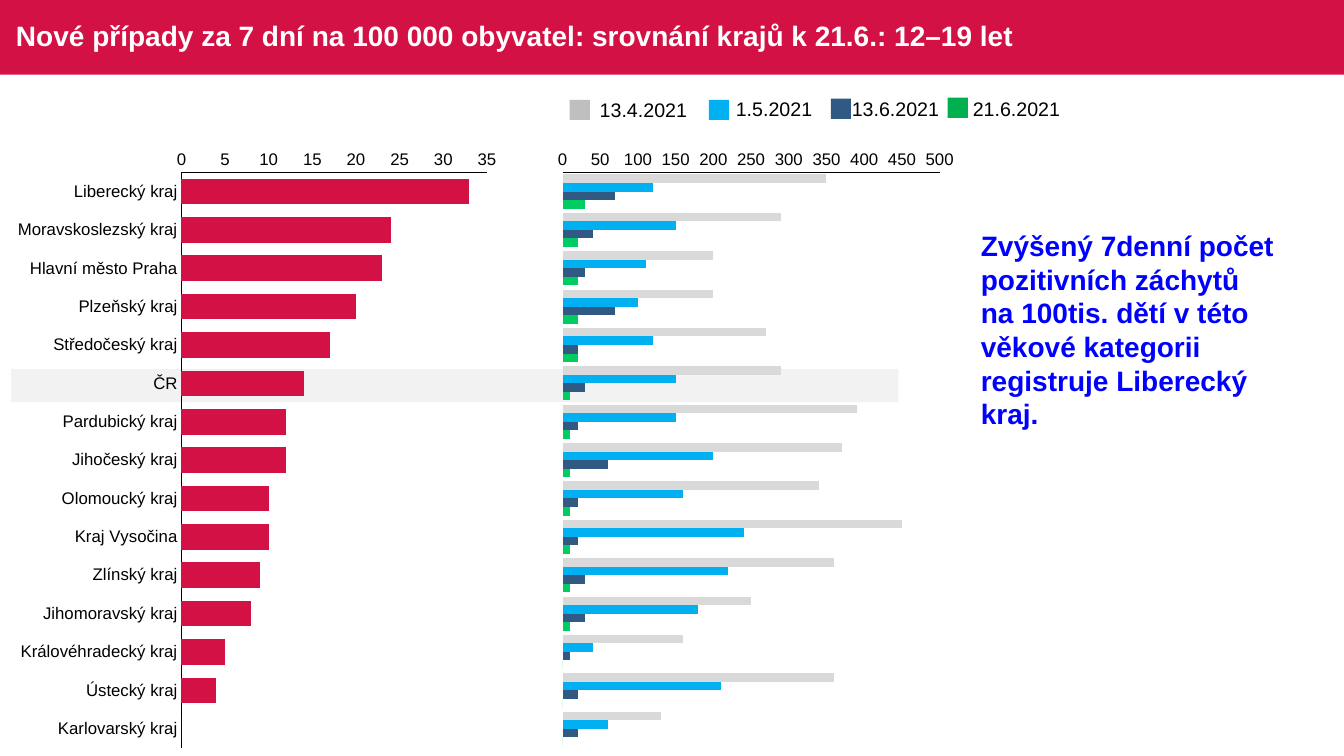
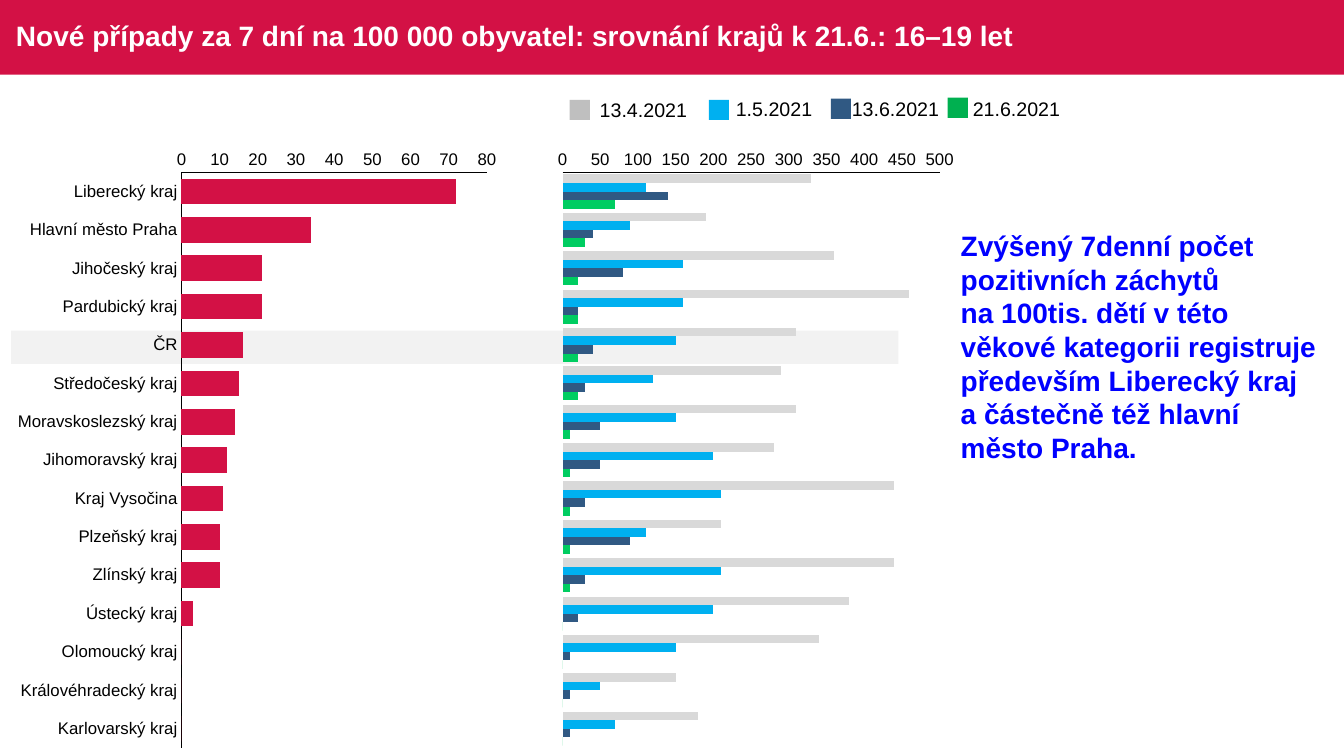
from lxml.etree import SubElement
from pptx import Presentation
from pptx.chart.data import CategoryChartData
from pptx.dml.color import RGBColor
from pptx.enum.chart import XL_CHART_TYPE, XL_TICK_MARK
from pptx.enum.shapes import MSO_SHAPE
from pptx.enum.text import MSO_ANCHOR, MSO_AUTO_SIZE
from pptx.oxml import parse_xml
from pptx.oxml.ns import nsdecls, qn
from pptx.util import Inches, Pt

FONT = "Arial"
RED, WHITE, BLACK, BLUE, PALE = "D31145", "FFFFFF", "000000", "0000FF", "F2F2F2"
DATES = ["13.4.2021", "1.5.2021", "13.6.2021", "21.6.2021"]
DATE_COLORS = ["D9D9D9", "00B0F0", "305983", "00CD61"]
LEGEND = [
    ("BFBFBF", 5.65, 0.99, 5.85, 0.92, 1.07),
    ("00B0F0", 7.03, 0.99, 7.2, 0.91, 0.96),
    ("305983", 8.24, 0.98, 8.35, 0.91, 1.07),
    ("00B050", 9.4, 0.97, 9.55, 0.91, 1.07),
]
TITLE = "Nové případy za 7 dní na 100 000 obyvatel: srovnání krajů k 21.6.: "
NOTE = "Zvýšený 7denní počet pozitivních záchytů\vna 100tis. dětí v této věkové kategorii registruje "
COUNTRY = "ČR"
CHART_TOP, CHART_HEIGHT = 1.37, 6.19
PLOT_TOP, PLOT_HEIGHT = 1.71, 5.71
BAND_START, ROW_PITCH = 1.76, 0.38

SLIDES = [
    {
        "ages": "12–19 let",
        "note": "Liberecký kraj.",
        "note_box": (9.63, 2.22, 3.37, 2.12),
        "scale": (35, 5),
        "regions": [
            ("Liberecký kraj", 33), ("Moravskoslezský kraj", 24), ("Hlavní město Praha", 23),
            ("Plzeňský kraj", 20), ("Středočeský kraj", 17), (COUNTRY, 14),
            ("Pardubický kraj", 12), ("Jihočeský kraj", 12), ("Olomoucký kraj", 10),
            ("Kraj Vysočina", 10), ("Zlínský kraj", 9), ("Jihomoravský kraj", 8),
            ("Královéhradecký kraj", 5), ("Ústecký kraj", 4), ("Karlovarský kraj", 0),
        ],
        "history": [
            [350, 290, 200, 200, 270, 290, 390, 370, 340, 450, 360, 250, 160, 360, 130],
            [120, 150, 110, 100, 120, 150, 150, 200, 160, 240, 220, 180, 40, 210, 60],
            [70, 40, 30, 70, 20, 30, 20, 60, 20, 20, 30, 30, 10, 20, 20],
            [30, 20, 20, 20, 20, 10, 10, 10, 10, 10, 10, 10, 0, 0, 0],
        ],
    },
    {
        "ages": "16–19 let",
        "note": "především Liberecký kraj a částečně též hlavní město Praha.",
        "note_box": (9.43, 2.22, 3.75, 2.46),
        "scale": (80, 10),
        "regions": [
            ("Liberecký kraj", 72), ("Hlavní město Praha", 34), ("Jihočeský kraj", 21),
            ("Pardubický kraj", 21), (COUNTRY, 16), ("Středočeský kraj", 15),
            ("Moravskoslezský kraj", 14), ("Jihomoravský kraj", 12), ("Kraj Vysočina", 11),
            ("Plzeňský kraj", 10), ("Zlínský kraj", 10), ("Ústecký kraj", 3),
            ("Olomoucký kraj", 0), ("Královéhradecký kraj", 0), ("Karlovarský kraj", 0),
        ],
        "history": [
            [330, 190, 360, 460, 310, 290, 310, 280, 440, 210, 440, 380, 340, 150, 180],
            [110, 90, 160, 160, 150, 120, 150, 200, 210, 110, 210, 200, 150, 50, 70],
            [140, 40, 80, 20, 40, 30, 50, 50, 30, 90, 30, 20, 10, 10, 10],
            [70, 30, 20, 20, 20, 20, 10, 10, 10, 10, 10, 0, 0, 0, 0],
        ],
    },
]


def color(value):
    return RGBColor.from_string(value)


def style_font(font, size, value, bold=False):
    font.name, font.size, font.bold = FONT, Pt(size), bold
    font.color.rgb = color(value)


def add_block(page, place, fill):
    block = page.shapes.add_shape(MSO_SHAPE.RECTANGLE, *map(Inches, place))
    block.shadow.inherit = False
    block.fill.solid()
    block.fill.fore_color.rgb = color(fill)
    block.line.fill.background()


def add_text(page, place, text, size, value, bold=False, wrap=True):
    box = page.shapes.add_textbox(*map(Inches, place))
    frame = box.text_frame
    frame.word_wrap = wrap
    frame.auto_size = MSO_AUTO_SIZE.SHAPE_TO_FIT_TEXT
    para = frame.paragraphs[0]
    para.text = text
    for span in para.runs:
        style_font(span.font, size, value, bold)
    return box


def add_title(page, text):
    add_block(page, (0, 0, 13.33, 0.74), RED)
    box = add_text(page, (0.06, 0, 12.01, 0.74), text, 20, WHITE, bold=True)
    box.text_frame.auto_size = MSO_AUTO_SIZE.NONE
    box.text_frame.vertical_anchor = MSO_ANCHOR.MIDDLE
    box.text_frame.paragraphs[0].line_spacing = 0.9


def style_axis(axis):
    axis.has_major_gridlines = False
    axis.major_tick_mark = axis.minor_tick_mark = XL_TICK_MARK.NONE
    style_font(axis.tick_labels.font, 12, BLACK)
    axis.format.line.color.rgb = color(BLACK)
    axis.format.line.width = Pt(0.75)


def fix_plot(chart, left, width, plot_left, plot_width):
    """Set the inner plot area and make both chart backgrounds transparent."""
    space = chart._chartSpace
    area = space.find(qn("c:chart")).find(qn("c:plotArea"))
    for layout in area.findall(qn("c:layout")):
        area.remove(layout)
    layout = parse_xml(f"<c:layout {nsdecls('c')}/>")
    area.insert(0, layout)
    manual = SubElement(layout, qn("c:manualLayout"))
    settings = {
        "layoutTarget": "inner", "xMode": "edge", "yMode": "edge",
        "x": (plot_left - left) / width,
        "y": (PLOT_TOP - CHART_TOP) / CHART_HEIGHT,
        "w": plot_width / width,
        "h": PLOT_HEIGHT / CHART_HEIGHT,
    }
    for name, value in settings.items():
        SubElement(manual, qn(f"c:{name}")).set("val", str(value))
    clear = f"<c:spPr {nsdecls('c', 'a')}><a:noFill/><a:ln><a:noFill/></a:ln></c:spPr>"
    area.append(parse_xml(clear))
    space.find(qn("c:chart")).addnext(parse_xml(clear))


def add_bars(page, left, width, plot, categories, series, scale, show_names):
    data = CategoryChartData(number_format="General")
    data.categories = categories
    for name, values, _ in series:
        data.add_series(name, values)
    place = map(Inches, (left, CHART_TOP, width, CHART_HEIGHT))
    chart = page.shapes.add_chart(XL_CHART_TYPE.BAR_CLUSTERED, *place, data).chart
    chart.has_title = chart.has_legend = False
    style_font(chart.font, 10, BLACK)
    bars = chart.plots[0]
    bars.gap_width, bars.overlap, bars.vary_by_categories = 50, 0, False
    for bar, (_, _, fill) in zip(bars.series, series):
        bar.format.fill.solid()
        bar.format.fill.fore_color.rgb = color(fill)
    names, amounts = chart.category_axis, chart.value_axis
    style_axis(names)
    style_axis(amounts)
    names.reverse_order = True
    names.visible = show_names
    amounts.minimum_scale = 0
    amounts.maximum_scale, amounts.major_unit = scale
    fix_plot(chart, left, width, *plot)


def add_legend(page):
    for date, (fill, left, top, text_left, text_top, width) in zip(DATES, LEGEND):
        add_block(page, (left, top, 0.2, 0.2), fill)
        add_text(page, (text_left, text_top, width, 0.34), date, 14, BLACK, wrap=False)


def add_slide(deck, content):
    page = deck.slides.add_slide(deck.slide_layouts[6])
    regions, current = zip(*content["regions"])
    add_title(page, TITLE + content["ages"])
    band_top = BAND_START + ROW_PITCH * regions.index(COUNTRY)
    add_block(page, (0.11, band_top, 8.8, 0.33), PALE)
    ranks = [str(rank) for rank in range(1, len(regions) + 1)]
    history = list(zip(DATES, content["history"], DATE_COLORS))
    add_bars(page, 5.46, 4.09, (5.58, 3.74), ranks, history, (500, 50), False)
    add_text(page, content["note_box"], NOTE + content["note"], 20, BLUE, bold=True)
    latest = [(DATES[-1], current, RED)]
    add_bars(page, 0.08, 4.94, (1.8, 3.03), regions, latest, content["scale"], True)
    add_legend(page)


def main():
    deck = Presentation()
    deck.slide_width, deck.slide_height = Inches(13.33), Inches(7.5)
    for content in SLIDES:
        add_slide(deck, content)
    deck.save("out.pptx")


if __name__ == "__main__":
    main()
